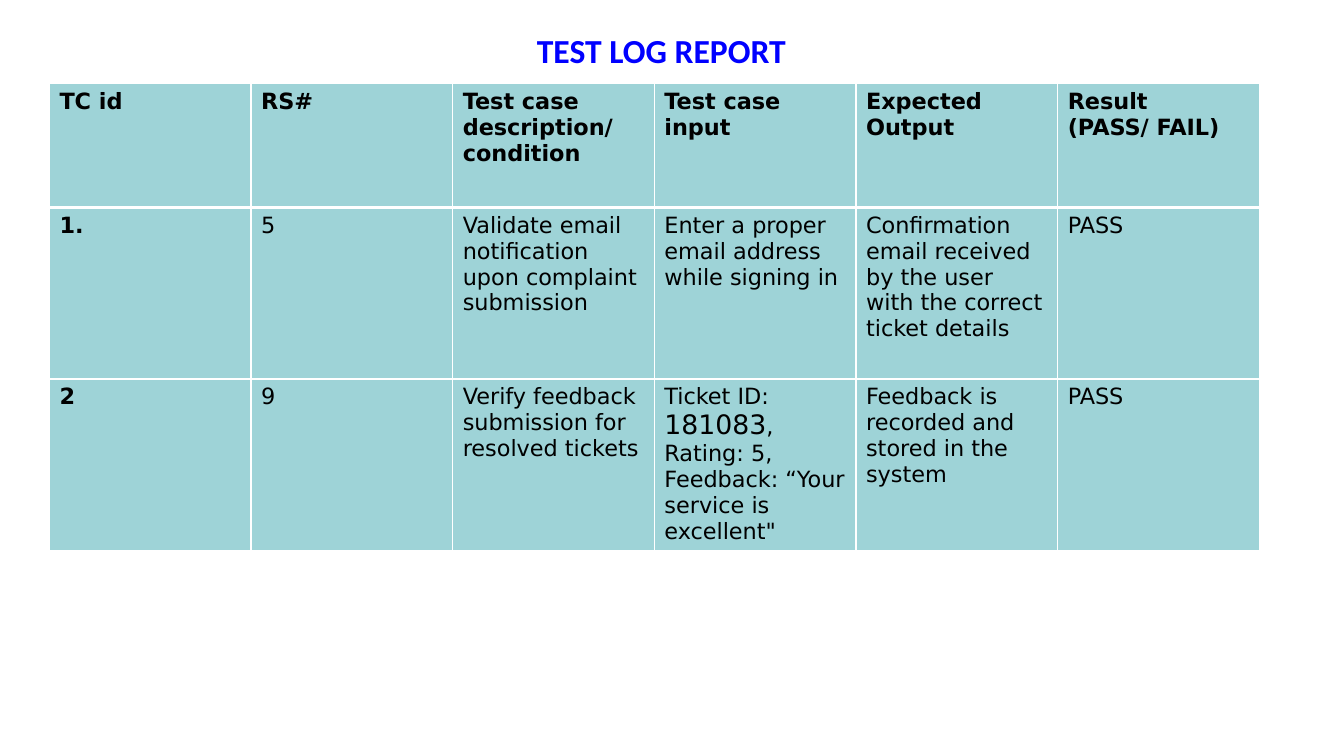
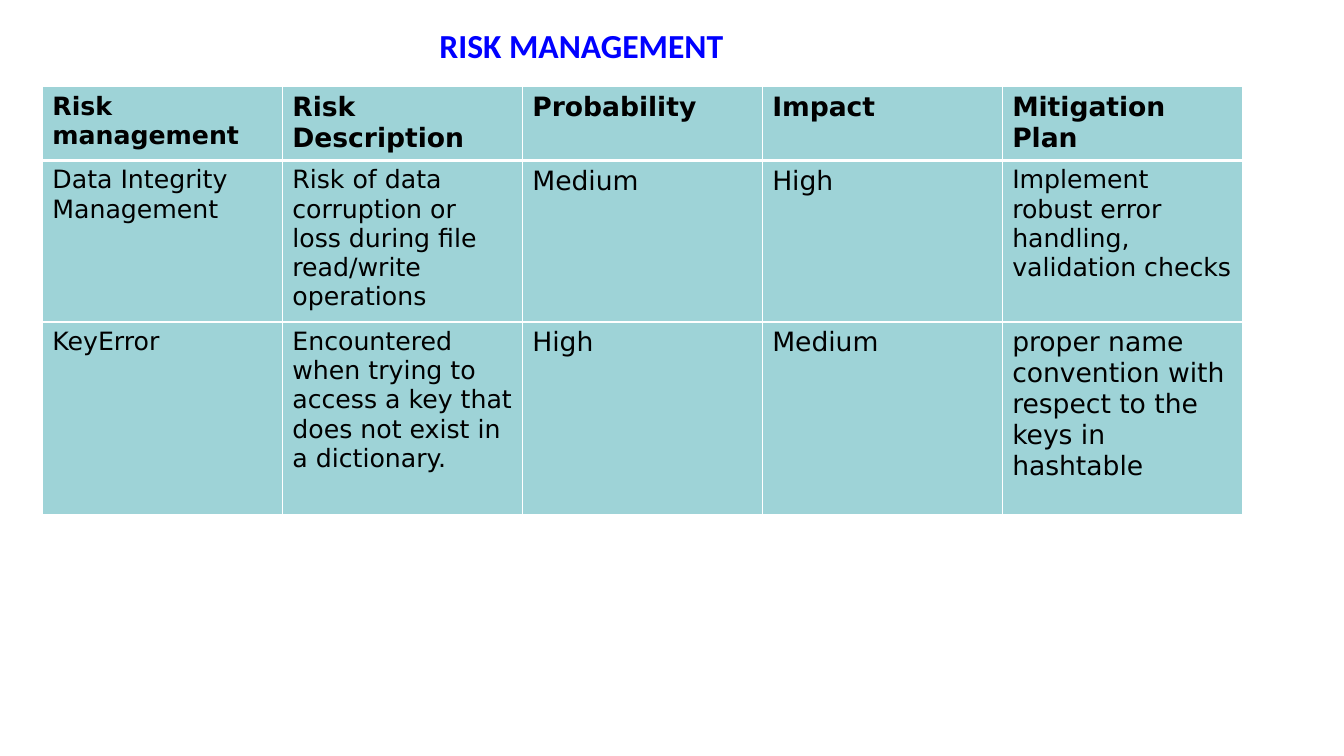
from lxml.etree import SubElement
from pptx import Presentation
from pptx.dml.color import RGBColor
from pptx.enum.text import PP_ALIGN
from pptx.oxml.ns import qn
from pptx.util import Inches, Pt

COLORS = {"title": "0000FF", "text": "000000", "cell": "9ED3D7", "border": "FFFFFF"}
TITLE_FORMAT = {"name": "Calibri", "size": Pt(24), "bold": True}
BODY_FONT = "DejaVu Sans"
LARGE = 19


class Report:
    """Holds the shared style and the current slide of the report."""

    def __init__(self):
        self.deck = Presentation()
        self.deck.slide_width = Inches(13.33)
        self.deck.slide_height = Inches(7.5)
        self.slide = None

    def add_slide(self):
        self.slide = self.deck.slides.add_slide(self.deck.slide_layouts[6])

    def add_text(self, paragraph, text, color, formats):
        run = paragraph.add_run()
        run.text = text
        for attribute, value in formats.items():
            setattr(run.font, attribute, value)
        run.font.color.rgb = RGBColor.from_string(COLORS[color])

    def title(self, text, left, top, width, height, align):
        heading = self.slide.shapes.add_textbox(*map(Inches, (left, top, width, height)))
        heading.text_frame.word_wrap = True
        paragraph = heading.text_frame.paragraphs[0]
        paragraph.alignment = align
        self.add_text(paragraph, text, "title", TITLE_FORMAT)

    def border(self, cell, widths):
        properties = cell._tc.get_or_add_tcPr()
        for side, width in widths.items():
            line = SubElement(properties, qn(f"a:ln{side}"), w=str(Pt(width)))
            fill = SubElement(line, qn("a:solidFill"))
            SubElement(fill, qn("a:srgbClr"), val=COLORS["border"])

    def fill_cell(self, cell, content, size, bold):
        runs = [(content, size)] if isinstance(content, str) else content
        paragraph = cell.text_frame.paragraphs[0]
        for text, run_size in runs:
            for index, line in enumerate(text.split("\n")):
                if index:
                    paragraph = cell.text_frame.add_paragraph()
                formats = {"name": BODY_FONT, "size": Pt(run_size), "bold": bold}
                self.add_text(paragraph, line, "text", formats)

    def table(self, rows, left, top, column_width, heights, size, bold_ids=False):
        count = len(rows[0])
        frame = self.slide.shapes.add_table(
            len(rows), count, Inches(left), Inches(top),
            Inches(column_width * count), Inches(sum(heights)))
        grid = frame.table
        grid.first_row = grid.horz_banding = False
        for column in grid.columns:
            column.width = Inches(column_width)
        for r, (row, height) in enumerate(zip(rows, heights)):
            grid.rows[r].height = Inches(height)
            for c, content in enumerate(row):
                cell = grid.cell(r, c)
                self.border(cell, {"L": 1, "R": 1, "T": 3 if r == 1 else 1,
                                   "B": 3 if r == 0 else 1})
                cell.fill.solid()
                cell.fill.fore_color.rgb = RGBColor.from_string(COLORS["cell"])
                self.fill_cell(cell, content, size, r == 0 or (bold_ids and c == 0))


def large(text):
    return [(text, LARGE)]


TEST_LOG = [
    ["TC id", "RS#", "Test case description/\ncondition", "Test case input",
     "Expected\nOutput", "Result\n(PASS/ FAIL)"],
    ["1.", "5", "Validate email notification upon complaint submission",
     "Enter a proper email address while signing in",
     "Confirmation email received by the user with the correct ticket details", "PASS"],
    ["2", "9", "Verify feedback submission for resolved tickets",
     [("Ticket ID: ", 16), ("181083", 19.1),
      (", Rating: 5, Feedback: “Your service is excellent\"", 16)],
     "Feedback is recorded and stored in the system", "PASS"],
]

RISKS = [
    ["Risk management", large("Risk Description"), large("Probability"),
     large("Impact"), large("Mitigation Plan")],
    ["Data Integrity Management",
     "Risk of data corruption or loss during file read/write operations",
     large("Medium"), large("High"),
     "Implement robust error handling, validation checks"],
    ["KeyError",
     "Encountered when trying to access a key that does not exist in a dictionary.",
     large("High"), large("Medium"),
     large("proper name convention with respect to the keys in hashtable")],
]


def main():
    report = Report()
    report.add_slide()
    report.table(TEST_LOG, 0.49, 0.83, 2, [1.23, 1.7, 1.7], 16, bold_ids=True)
    report.title("TEST LOG REPORT", 0.56, 0.25, 12, 0.75, PP_ALIGN.CENTER)
    report.add_slide()
    report.title("RISK MANAGEMENT", 4.26, 0.2, 3.31, 0.5, PP_ALIGN.LEFT)
    report.table(RISKS, 0.42, 0.86, 2.38, [0.73, 1.6, 1.91], 18)
    report.deck.save("out.pptx")


if __name__ == "__main__":
    main()
